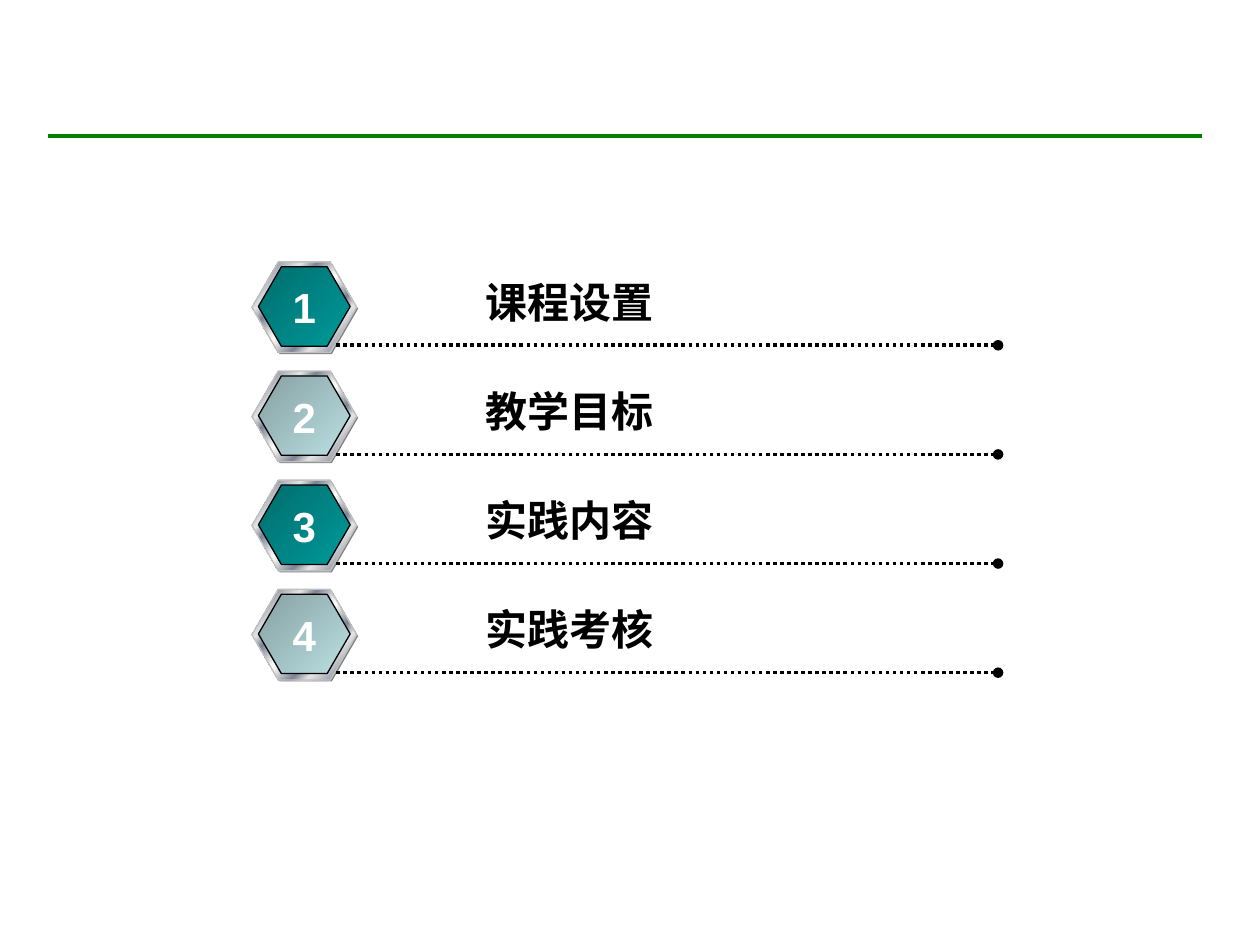
from pptx import Presentation
from pptx import util as u
from pptx.dml.color import RGBColor
from pptx.enum import dml, shapes, text
from pptx.oxml import ns
from lxml import etree

TOPICS = ["课程设置", "教学目标", "实践内容", "实践考核"]
ROW_STEP = 2.2
STEEL = [(0, "E6E6E6"), (8, "7D8496"), (26, "E6E6E6"), (34, "7D8496"),
         (46, "E6E6E6"), (50, "FFFFFF"), (54, "E6E6E6"), (66, "7D8496"),
         (74, "E6E6E6"), (92, "7D8496"), (100, "E6E6E6")]
TEAL = [(0, "006D6D"), (100, "009999")]
PALE = [(0, "86A0A2"), (100, "BBE0E3")]


def color(value):
    return RGBColor.from_string(value)


def apply(target, values):
    for name, value in values.items():
        setattr(target, name, value)


def add_xml(parent, tag, **attributes):
    return etree.SubElement(parent, ns.qn(tag), attributes)


class SlideBuilder:
    font = {"name": "Arial", "size": u.Pt(24), "bold": True}
    frame = {"word_wrap": True, "auto_size": text.MSO_AUTO_SIZE.SHAPE_TO_FIT_TEXT}

    def __init__(self, page):
        self.page = page

    def line(self, left, right, top, stroke, dotted=False):
        rule = self.page.shapes.add_connector(
            shapes.MSO_CONNECTOR.STRAIGHT,
            u.Cm(left), u.Cm(top), u.Cm(right), u.Cm(top))
        rule.line.color.rgb = color(stroke)
        rule.line.width = u.Pt(2)
        if dotted:
            rule.line.dash_style = dml.MSO_LINE.ROUND_DOT
            add_xml(rule.line._get_or_add_ln(), "a:tailEnd", type="oval")
        add_xml(rule._element.spPr, "a:effectLst")

    def hexagon(self, group, left, top, width, height, stops, stroke=None):
        shape = group.shapes.add_shape(
            shapes.MSO_SHAPE.HEXAGON,
            u.Cm(left), u.Cm(top), u.Cm(width), u.Cm(height))
        shape.adjustments[0] = 0.29
        shape.shadow.inherit = False
        if len(stops) == 1:
            shape.fill.solid()
            shape.fill.fore_color.rgb = color(stops[0][1])
        else:
            self.gradient(shape, stops)
        if stroke:
            shape.line.color.rgb = color(stroke)
            shape.line.width = u.Pt(0.75)
        else:
            shape.line.fill.background()

    def gradient(self, shape, stops):
        shape.fill.gradient()
        shape.fill.gradient_angle = 315
        stop_list = shape._element.spPr.find(".//" + ns.qn("a:gsLst"))
        for stop in list(stop_list):
            stop_list.remove(stop)
        for percent, value in stops:
            stop = add_xml(stop_list, "a:gs", pos=str(percent * 1000))
            add_xml(stop, "a:srgbClr", val=value)

    def badge(self, top, stops):
        group = self.page.shapes.add_group_shape()
        self.hexagon(group, 5.11, top + 0.03, 2.11, 1.83, [(0, "808080")])
        self.hexagon(group, 5.08, top, 2.11, 1.83, STEEL, "C0C0C0")
        self.hexagon(group, 5.21, top + 0.1, 1.85, 1.6, stops, "000000")

    def label(self, left, top, width, words, ink, wrap=True, align=text.PP_ALIGN.LEFT):
        box = self.page.shapes.add_textbox(
            u.Cm(left), u.Cm(top), u.Cm(width), u.Cm(1.27))
        apply(box.text_frame, {**self.frame, "word_wrap": wrap})
        para = box.text_frame.paragraphs[0]
        para.alignment = align
        span = para.add_run()
        span.text = words
        apply(span.font, self.font)
        span.font.color.rgb = color(ink)


def main():
    deck = Presentation()
    apply(deck, {"slide_width": u.Cm(25.4), "slide_height": u.Cm(19.05)})
    builder = SlideBuilder(deck.slides.add_slide(deck.slide_layouts[6]))
    builder.line(0.96, 24.23, 2.74, "008000")
    for index, topic in enumerate(TOPICS):
        top = 5.28 + index * ROW_STEP
        builder.badge(top, PALE if index % 2 else TEAL)
        builder.line(6.78, 20.12, top + 1.68, "000000", dotted=True)
        builder.label(9.53, top + 0.16, 5.2, topic, "000000")
        builder.label(5.64, top + 0.28, 0.99, str(index + 1), "FFFFFF",
                      wrap=False, align=text.PP_ALIGN.CENTER)
    deck.save("out.pptx")


if __name__ == "__main__":
    main()
